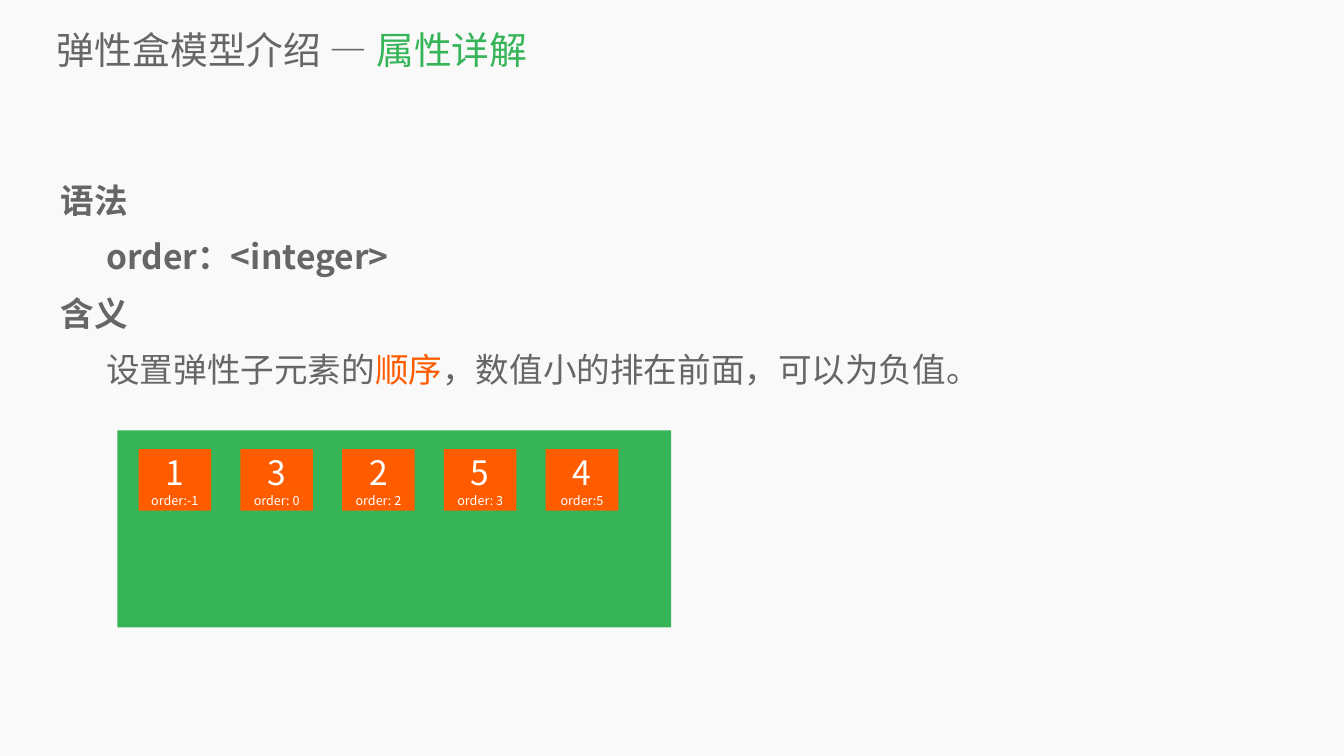
from pptx import Presentation
from pptx.dml.color import RGBColor
from pptx.enum.shapes import MSO_SHAPE
from pptx.enum.text import MSO_ANCHOR, PP_ALIGN
from pptx.oxml.ns import qn
from pptx.util import Inches, Pt
from lxml.etree import SubElement

FONT = "Noto Sans CJK SC"
GRAY = RGBColor(0x66, 0x66, 0x66)
GREEN = RGBColor(0x35, 0xB5, 0x58)
ORANGE = RGBColor(0xFF, 0x5C, 0x00)
WHITE = RGBColor(0xFF, 0xFF, 0xFF)
PAPER = RGBColor(0xF9, 0xF9, 0xF9)

# Content: runs are (text, colour, bold)
TITLE = [("弹性盒模型介绍 — ", GRAY, False), ("属性详解", GREEN, False)]
BODY = [  # (indented, runs)
    (False, [("语法", GRAY, True)]),
    (True, [("order：<integer>", GRAY, True)]),
    (False, [("含义", GRAY, True)]),
    (True, [("设置弹性子元素的", GRAY, False), ("顺序", ORANGE, False),
            ("，数值小的排在前面，可以为负值。", GRAY, False)]),
]
ITEMS = [("1", "order:-1"), ("3", "order: 0"), ("2", "order: 2"),
         ("5", "order: 3"), ("4", "order:5")]

# Grid of the flex box, in inches
BOX = (2.33, 8.54, 10.99, 3.91)
ITEM_LEFT, ITEM_TOP, ITEM_W, ITEM_H, PITCH = 2.75, 8.91, 1.44, 1.22, 2.02
INDENT = 0.9


def add_run(p, text, size, color, bold=False):
    r = p.add_run()
    r.text = text
    r.font.size, r.font.bold, r.font.name = Pt(size), bold, FONT
    r.font.color.rgb = color
    SubElement(r.font._element, qn("a:ea")).set("typeface", FONT)


def set_frame(tf, margin, anchor):
    tf.word_wrap = True
    tf.vertical_anchor = anchor
    tf.margin_left = tf.margin_right = Inches(margin)
    tf.margin_top = tf.margin_bottom = Inches(margin)


def add_text(s, box, paragraphs, size, anchor, spacing=None):
    tf = s.shapes.add_textbox(*map(Inches, box)).text_frame
    set_frame(tf, 0, anchor)
    for i, (indented, runs) in enumerate(paragraphs):
        p = tf.add_paragraph() if i else tf.paragraphs[0]
        p.line_spacing = spacing
        if indented:
            p._p.get_or_add_pPr().set("marL", str(Inches(INDENT)))
        for text, color, bold in runs:
            add_run(p, text, size, color, bold)


def add_rect(group, box, color):
    sp = group.shapes.add_shape(MSO_SHAPE.RECTANGLE, *map(Inches, box))
    sp.shadow.inherit = False
    sp.fill.solid()
    sp.fill.fore_color.rgb = color
    sp.line.fill.background()
    return sp


prs = Presentation()
prs.slide_width, prs.slide_height = Inches(26.67), Inches(15)
s = prs.slides.add_slide(prs.slide_layouts[6])
s.background.fill.solid()
s.background.fill.fore_color.rgb = PAPER

# Title and explanation
add_text(s, (1.13, 0.47, 25.16, 1.02), [(False, TITLE)], 54, MSO_ANCHOR.MIDDLE)
add_text(s, (1.21, 3.25, 24.28, 11.24), BODY, 48, MSO_ANCHOR.TOP, 1.4)

# Flex container with its ordered items
group = s.shapes.add_group_shape()
add_rect(group, BOX, GREEN)
for i, (number, order) in enumerate(ITEMS):
    item = add_rect(group, (ITEM_LEFT + i * PITCH, ITEM_TOP, ITEM_W, ITEM_H), ORANGE)
    tf = item.text_frame
    set_frame(tf, 0.06, MSO_ANCHOR.MIDDLE)
    for p, text, size in ((tf.paragraphs[0], number, 48), (tf.add_paragraph(), order, 18)):
        p.alignment = PP_ALIGN.CENTER
        add_run(p, text, size, WHITE)

prs.save("out.pptx")
